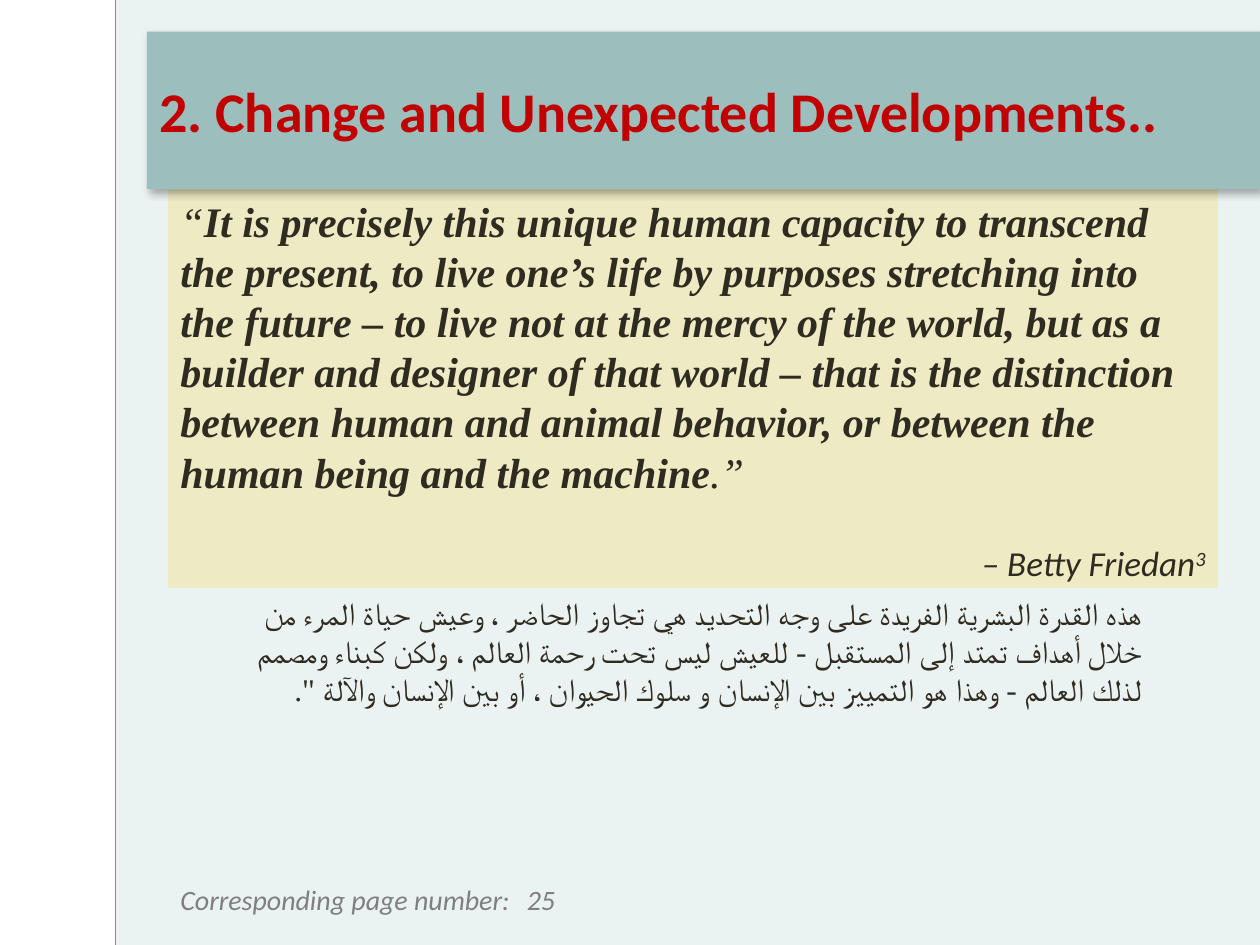
from lxml import etree
from pptx import Presentation
from pptx.dml.color import RGBColor
from pptx.enum import shapes, text
from pptx.oxml.ns import qn
from pptx.util import Pt

PALE = RGBColor(0xEB, 0xF2, 0xF2)
TEAL = RGBColor(0x9C, 0xBE, 0xBD)
EDGE = RGBColor(0x68, 0x9C, 0x9A)
SAND = RGBColor(0xED, 0xEA, 0xC4)
INK = RGBColor(0x2F, 0x2B, 0x20)
RED = RGBColor(0xC0, 0x00, 0x00)
GRAY = RGBColor(0x7F, 0x7F, 0x7F)
SANS, SERIF = "Calibri", "Times New Roman"
LEFT, RIGHT = text.PP_ALIGN.LEFT, text.PP_ALIGN.RIGHT

TITLE = "2. Change and Unexpected Developments.."
QUOTE = (
    "It is precisely this unique human capacity to transcend \n"
    "the present, to live one’s life by purposes stretching into \n"
    "the future – to live not at the mercy of the world, but as a "
    "builder and designer of that world – that is the distinction "
    "between human and animal behavior, or between the \n"
    "human being and the machine"
)
AUTHOR, NOTE = "– Betty Friedan", "3"
ARABIC = (
    "هذه القدرة البشرية الفريدة على وجه التحديد هي تجاوز الحاضر ، وعيش حياة المرء من "
    "خلال أهداف تمتد إلى المستقبل - للعيش ليس تحت رحمة العالم ، ولكن كبناء ومصمم "
    "لذلك العالم - وهذا هو التمييز بين الإنسان و سلوك الحيوان ، أو بين الإنسان والآلة \"."
)
FOOTER = [("Corresponding page number:", 96, 204), ("25", 294, 186)]

WIDE, HIGH, EDGE_X = 720, 540, 66

prs = Presentation()
prs.slide_width, prs.slide_height = Pt(WIDE), Pt(HIGH)
slide = prs.slides.add_slide(prs.slide_layouts[6])


def block(x, y, w, h, fill):
    shape = slide.shapes.add_shape(
        shapes.MSO_SHAPE.RECTANGLE, Pt(x), Pt(y), Pt(w), Pt(h))
    shape.shadow.inherit = False
    shape.fill.solid()
    shape.fill.fore_color.rgb = fill
    shape.line.fill.background()
    shape.text_frame.word_wrap = True
    shape.text_frame.vertical_anchor = text.MSO_ANCHOR.TOP
    return shape


def box(x, y, w, h):
    frame = slide.shapes.add_textbox(Pt(x), Pt(y), Pt(w), Pt(h)).text_frame
    frame.word_wrap = True
    return frame


def write(para, words, font=SANS, size=20, color=INK, bold=False,
          italic=False, align=LEFT, base=None):
    """Append words to a paragraph; each newline becomes a line break."""
    para.alignment = align
    for i, line in enumerate(words.split("\n")):
        if i:
            para.add_line_break()
        run = para.add_run()
        run.text = line
        style = run.font
        style.name, style.size = font, Pt(size)
        style.bold, style.italic = bold, italic
        style.color.rgb = color
        props = run._r.get_or_add_rPr()
        etree.SubElement(props, qn("a:cs")).set("typeface", font)
        if base:
            props.set("baseline", str(base * 1000))


def shade(shape, blur, dist, angle, alpha):
    effects = shape._element.spPr.find(qn("a:effectLst"))
    outer = etree.SubElement(
        effects, qn("a:outerShdw"), blurRad=str(Pt(blur)), dist=str(Pt(dist)),
        dir=str(angle * 60000), algn="tl", rotWithShape="0")
    tint = etree.SubElement(outer, qn("a:srgbClr"), val="000000")
    etree.SubElement(tint, qn("a:alpha"), val=str(alpha * 1000))


# Background panel and its edge
block(EDGE_X, 0, WIDE - EDGE_X, HIGH, PALE)
edge = slide.shapes.add_connector(
    shapes.MSO_CONNECTOR.STRAIGHT, Pt(EDGE_X), Pt(0), Pt(EDGE_X), Pt(HIGH))
edge.line.color.rgb = EDGE
edge.line.width = Pt(0.75)
etree.SubElement(edge._element.spPr, qn("a:effectLst"))

# Quotation
frame = block(96, 108, 600, 228, SAND).text_frame
quote = frame.paragraphs[0]
quote.line_spacing = Pt(28.7)
quote.space_after = Pt(6)
for words, bold in [("“", False), (QUOTE, True), (".”", False)]:
    write(quote, words, font=SERIF, size=24, bold=bold, italic=True)
author = frame.add_paragraph()
author.line_spacing = 0.8
author.space_before = Pt(24.5)
write(author, AUTHOR, italic=True, align=RIGHT)
write(author, NOTE, italic=True, align=RIGHT, base=30)

# Title band
band = block(84, 18, 636, 90, TEAL)
shade(band, blur=4.5, dist=2.6, angle=53, alpha=30)
band.text_frame.vertical_anchor = text.MSO_ANCHOR.MIDDLE
write(band.text_frame.paragraphs[0], TITLE, size=32, color=RED, bold=True)

# Arabic translation
arabic = box(120, 336, 540, 73).paragraphs[0]
write(arabic, ARABIC, font=SERIF, size=18, align=RIGHT)
arabic._p.get_or_add_pPr().set("rtl", "1")

# Page reference
for words, x, w in FOOTER:
    write(box(x, 501, w, 27).paragraphs[0], words, size=16, color=GRAY, italic=True)

prs.save("out.pptx")
